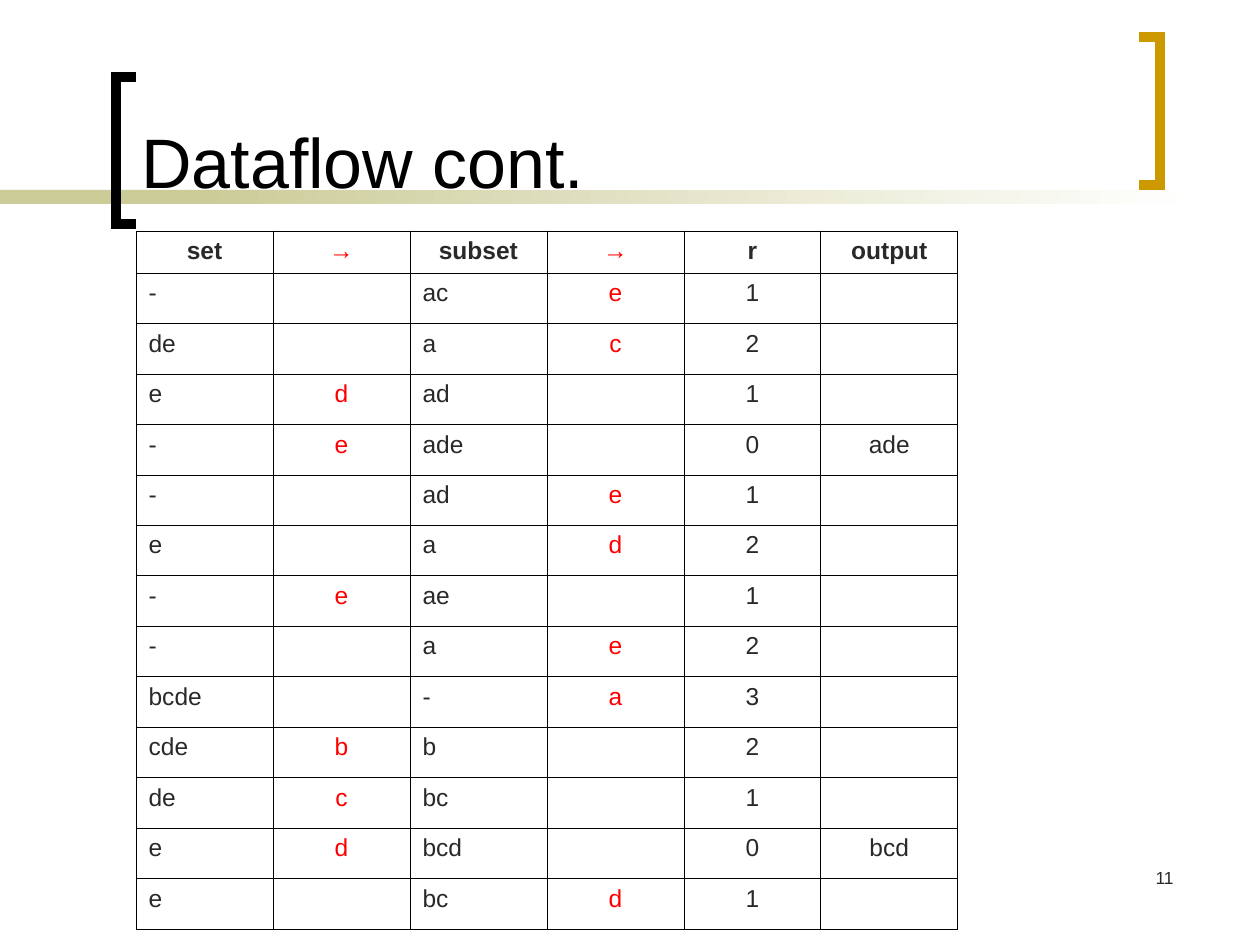
from lxml.etree import SubElement
from pptx import Presentation
from pptx.dml.color import RGBColor
from pptx.enum.shapes import MSO_SHAPE
from pptx.enum.text import MSO_ANCHOR, PP_ALIGN
from pptx.oxml.ns import qn
from pptx.util import Emu, Pt

BLACK, TEXT, RED = "000000", "292929", "FF0000"
GOLD, OLIVE, WHITE = "CC9900", "CCCC99", "FFFFFF"

HEADER = ("set", "→", "subset", "→", "r", "output")
STEPS = [
    ("-", "", "ac", "e", "1", ""),
    ("de", "", "a", "c", "2", ""),
    ("e", "d", "ad", "", "1", ""),
    ("-", "e", "ade", "", "0", "ade"),
    ("-", "", "ad", "e", "1", ""),
    ("e", "", "a", "d", "2", ""),
    ("-", "e", "ae", "", "1", ""),
    ("-", "", "a", "e", "2", ""),
    ("bcde", "", "-", "a", "3", ""),
    ("cde", "b", "b", "", "2", ""),
    ("de", "c", "bc", "", "1", ""),
    ("e", "d", "bcd", "", "0", "bcd"),
    ("e", "", "bc", "d", "1", ""),
]
SET_COLUMNS = (0, 2)
ARROW_COLUMNS = (1, 3)


def px(n):
    return Emu(round(n * 914400 / 126))


def rgb(value):
    return RGBColor.from_string(value)


class Deck:
    font = "Arial"

    def __init__(self, width, height):
        self.prs = Presentation()
        self.prs.slide_width, self.prs.slide_height = px(width), px(height)
        self.s = self.prs.slides.add_slide(self.prs.slide_layouts[6])

    def style(self, p, size, color, align, bold=False):
        p.alignment = align
        for r in p.runs:
            r.font.name, r.font.size, r.font.bold = self.font, Pt(size), bold
            r.font.color.rgb = rgb(color)

    def text(self, x, y, w, h, words, size, color, align, anchor):
        tf = self.s.shapes.add_textbox(px(x), px(y), px(w), px(h)).text_frame
        tf.word_wrap = True
        tf.vertical_anchor = anchor
        tf.text = words
        self.style(tf.paragraphs[0], size, color, align)

    def band(self, x, y, w, h, color, end=None):
        """A bar that is plain, or fades from left to right into end."""
        sp = self.s.shapes.add_shape(MSO_SHAPE.RECTANGLE, px(x), px(y), px(w), px(h))
        sp.shadow.inherit = False
        sp.line.fill.background()
        if end is None:
            sp.fill.solid()
            sp.fill.fore_color.rgb = rgb(color)
        else:
            sp.fill.gradient()
            sp.fill.gradient_angle = 0
            for stop, value in zip(sp.fill.gradient_stops, (color, end)):
                stop.color.rgb = rgb(value)

    def bracket(self, tip, spine, top, bottom, color):
        """A square bracket whose open ends lie at tip."""
        points = [(tip, top), (spine, top), (spine, bottom), (tip, bottom)]
        points = [(px(x), px(y)) for x, y in points]
        fb = self.s.shapes.build_freeform(*points[0])
        fb.add_line_segments(points[1:], close=False)
        sp = fb.convert_to_shape()
        sp.shadow.inherit = False
        sp.fill.background()
        sp.line.width = Pt(6)
        sp.line.color.rgb = rgb(color)
        SubElement(sp.line._get_or_add_ln(), qn("a:miter"), lim="800000")

    def borders(self, cell, color, width):
        tcPr = cell._tc.get_or_add_tcPr()
        for side in ("a:lnL", "a:lnR", "a:lnT", "a:lnB"):
            ln = SubElement(tcPr, qn(side), w=str(Pt(width)))
            fill = SubElement(ln, qn("a:solidFill"))
            SubElement(fill, qn("a:srgbClr"), val=color)

    def table(self, x, y, col_w, header_h, row_h, rows):
        n, m = len(rows), len(rows[0])
        height = header_h + row_h * (n - 1)
        table = self.s.shapes.add_table(
            n, m, px(x), px(y), px(col_w * m), px(height)).table
        table.first_row = table.horz_banding = False
        for column in table.columns:
            column.width = px(col_w)
        for i, row in enumerate(rows):
            table.rows[i].height = px(row_h if i else header_h)
            for j, words in enumerate(row):
                cell = table.cell(i, j)
                self.borders(cell, BLACK, 0.45)
                cell.fill.background()
                cell.text = words
                left = i > 0 and j in SET_COLUMNS
                self.style(cell.text_frame.paragraphs[0], 14,
                           RED if j in ARROW_COLUMNS else TEXT,
                           PP_ALIGN.LEFT if left else PP_ALIGN.CENTER, i == 0)


def main():
    d = Deck(1260, 945)
    d.band(0, 190, 294, 14, OLIVE)
    d.band(199, 190, 998, 14, OLIVE, WHITE)
    d.bracket(136, 116, 77, 224, BLACK)
    d.bracket(1139, 1160, 37, 185, GOLD)
    d.text(924, 861, 262, 63, "11", 10, TEXT, PP_ALIGN.RIGHT, MSO_ANCHOR.TOP)
    d.table(136, 231, 137, 42, 48, [HEADER] + STEPS)
    d.text(129, 14, 987, 195, "Dataflow cont.", 40, BLACK,
           PP_ALIGN.LEFT, MSO_ANCHOR.BOTTOM)
    d.prs.save("out.pptx")


if __name__ == "__main__":
    main()
